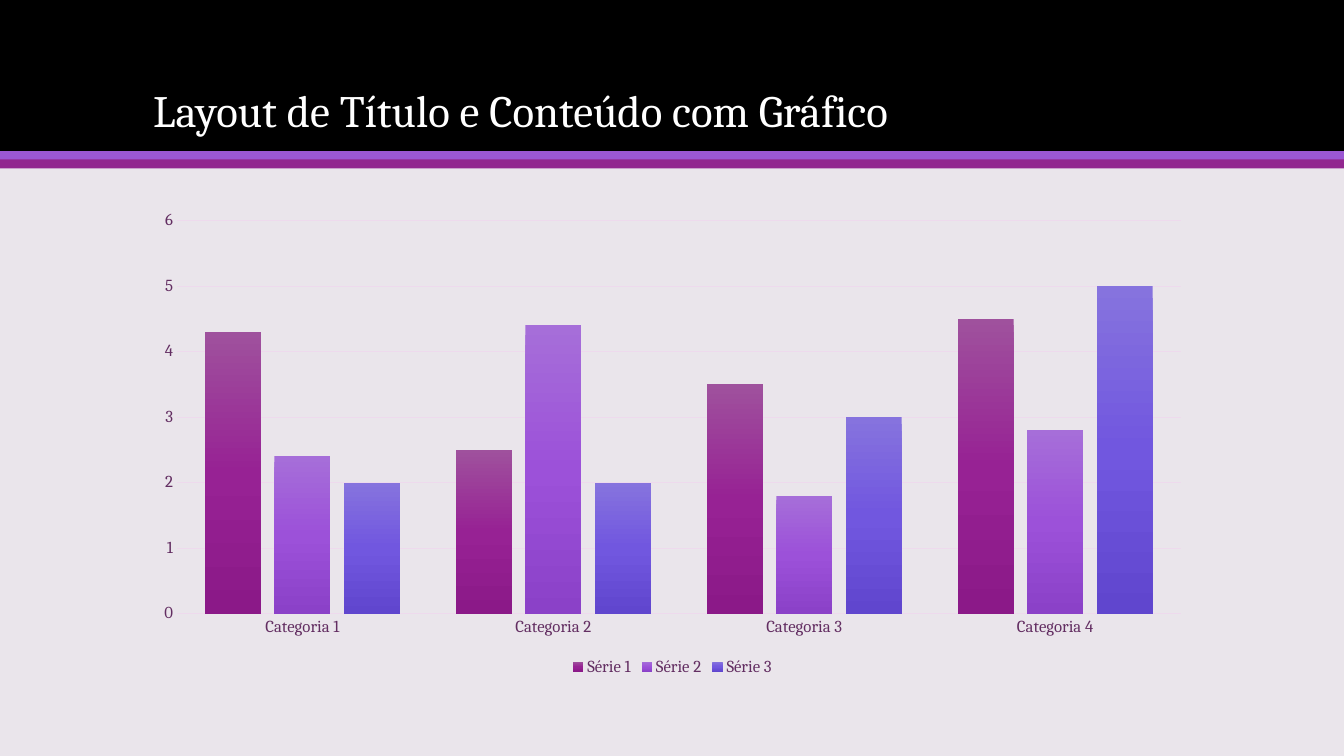
from copy import deepcopy

from pptx import Presentation
from pptx import util as u
from pptx.chart.data import CategoryChartData
from pptx.dml.color import RGBColor
from pptx.enum import chart as ch, text

BLACK = RGBColor(0x00, 0x00, 0x00)
WHITE = RGBColor(0xFF, 0xFF, 0xFF)
BACKGROUND = RGBColor(0xEA, 0xE5, 0xEB)
VIOLET = RGBColor(0x9B, 0x57, 0xD3)
MAGENTA = RGBColor(0x92, 0x27, 0x8F)
PLUM = RGBColor(0x63, 0x2E, 0x62)
PALE_PINK = RGBColor(0xEE, 0xDA, 0xED)
MAGENTA_GRADIENT = (RGBColor(0x9F, 0x51, 0x9D), RGBColor(0x97, 0x22, 0x94), RGBColor(0x8B, 0x19, 0x88))
VIOLET_GRADIENT = (RGBColor(0xA6, 0x6E, 0xD9), RGBColor(0x9C, 0x51, 0xD9), RGBColor(0x8B, 0x41, 0xC8))
BLUE_GRADIENT = (RGBColor(0x86, 0x73, 0xDE), RGBColor(0x71, 0x57, 0xDF), RGBColor(0x60, 0x46, 0xCE))

SLIDE_WIDTH = 13.33
CATEGORIES = [f"Categoria {n}" for n in range(1, 5)]
SERIES = [
    ("Série 1", (4.3, 2.5, 3.5, 4.5), MAGENTA_GRADIENT),
    ("Série 2", (2.4, 4.4, 1.8, 2.8), VIOLET_GRADIENT),
    ("Série 3", (2, 2, 3, 5), BLUE_GRADIENT),
]


class SlideBuilder:
    font = "Cambria"

    def __init__(self, s):
        self.s = s

    def background(self, color):
        fill = self.s.background.fill
        fill.solid()
        fill.fore_color.rgb = color

    def style_font(self, font, size, color):
        font.name = self.font
        font.size = u.Pt(size)
        font.color.rgb = color

    def band(self, top, height, color):
        sp = self.s.shapes.add_shape(
            1, 0, u.Inches(top), u.Inches(SLIDE_WIDTH), u.Inches(height))
        sp.shadow.inherit = False
        sp.fill.solid()
        sp.fill.fore_color.rgb = color
        sp.line.fill.background()

    def title(self, left, top, width, height, words):
        sp = self.s.shapes.add_textbox(*map(u.Inches, (left, top, width, height)))
        tf = sp.text_frame
        tf.word_wrap = True
        tf.vertical_anchor = text.MSO_ANCHOR.BOTTOM
        tf.text = words
        p = tf.paragraphs[0]
        p.line_spacing = 0.9
        self.style_font(p.runs[0].font, 32, WHITE)

    def gradient(self, series, colors):
        fill = series.format.fill
        fill.gradient()
        fill.gradient_angle = 270
        stops = series._element.xpath(".//a:gsLst")[0]
        stops.append(deepcopy(stops[0]))
        for i, (stop, color) in enumerate(zip(fill.gradient_stops, colors)):
            stop.position = i / 2
            stop.color.rgb = color

    def axis(self, axis):
        axis.major_tick_mark = axis.minor_tick_mark = ch.XL_TICK_MARK.NONE
        self.style_font(axis.tick_labels.font, 12, PLUM)

    def line(self, line):
        line.color.rgb = PALE_PINK
        line.width = u.Pt(0.75)

    def column_chart(self, left, top, width, height, categories, series):
        data = CategoryChartData()
        data.categories = categories
        for name, values, _ in series:
            data.add_series(name, values)
        chart = self.s.shapes.add_chart(
            ch.XL_CHART_TYPE.COLUMN_CLUSTERED,
            *map(u.Inches, (left, top, width, height)), data).chart
        self.style_font(chart.font, 10, BLACK)
        chart.has_title = False
        chart.has_legend = True
        chart.legend.position = ch.XL_LEGEND_POSITION.BOTTOM
        chart.legend.include_in_layout = False
        self.style_font(chart.legend.font, 12, PLUM)

        self.axis(chart.category_axis)
        self.line(chart.category_axis.format.line)
        value_axis = chart.value_axis
        self.axis(value_axis)
        value_axis.format.line.fill.background()
        value_axis.minimum_scale = 0
        value_axis.maximum_scale = 6
        value_axis.major_unit = 1
        self.line(value_axis.major_gridlines.format.line)

        plot = chart.plots[0]
        plot.gap_width = 100
        plot.overlap = -24
        plot.vary_by_categories = False
        for bars, (_, _, colors) in zip(plot.series, series):
            self.gradient(bars, colors)


def main():
    prs = Presentation()
    prs.slide_width = u.Inches(SLIDE_WIDTH)
    prs.slide_height = u.Inches(7.5)
    slide = SlideBuilder(prs.slides.add_slide(prs.slide_layouts[6]))
    slide.background(BACKGROUND)
    slide.band(0, 1.5, BLACK)
    slide.band(1.5, 0.09, VIOLET)
    slide.band(1.58, 0.09, MAGENTA)
    slide.title(1.42, 0.28, 10.5, 1.13, "Layout de Título e Conteúdo com Gráfico")
    slide.column_chart(1.42, 2, 10.5, 4.75, CATEGORIES, SERIES)
    prs.save("out.pptx")


if __name__ == "__main__":
    main()
